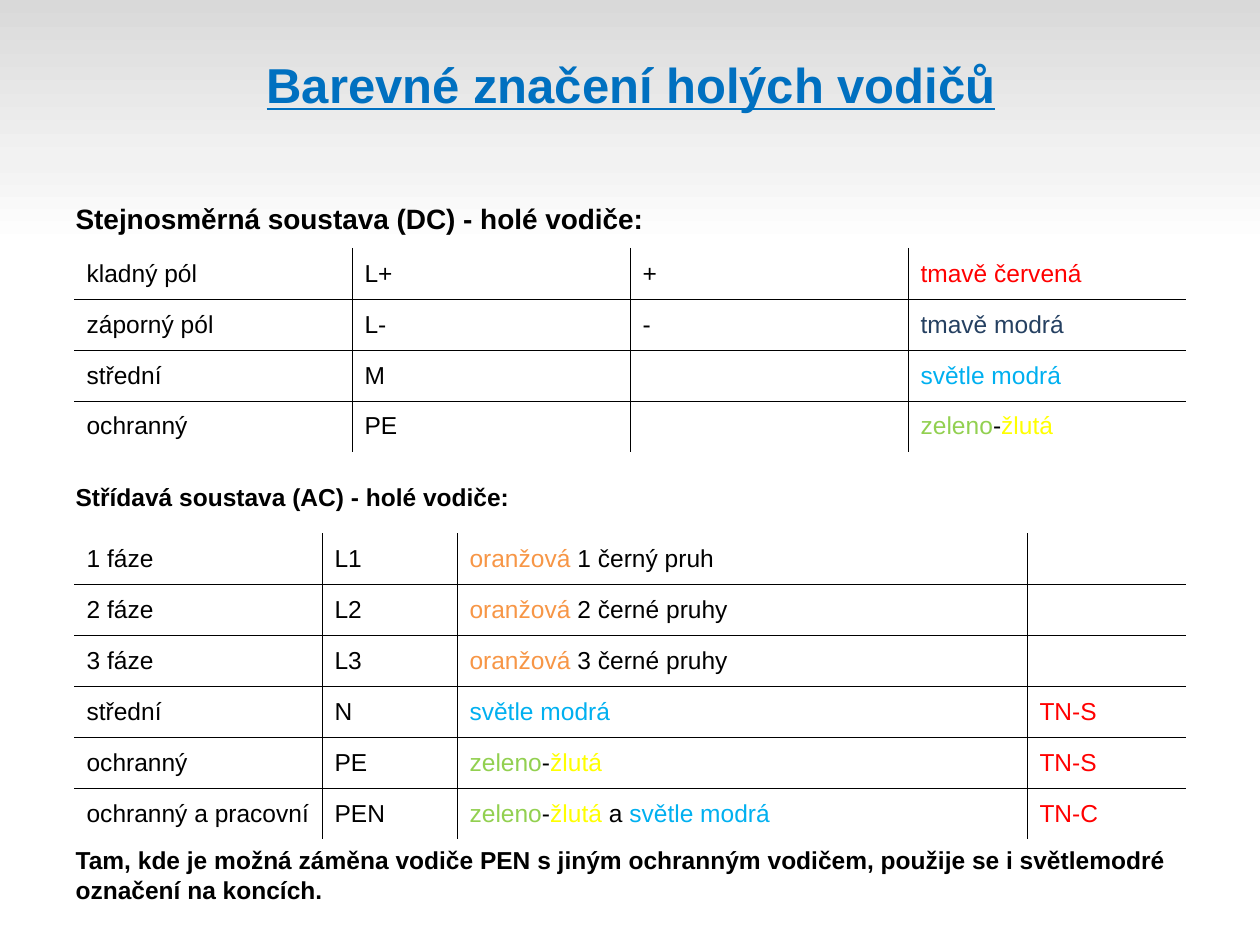
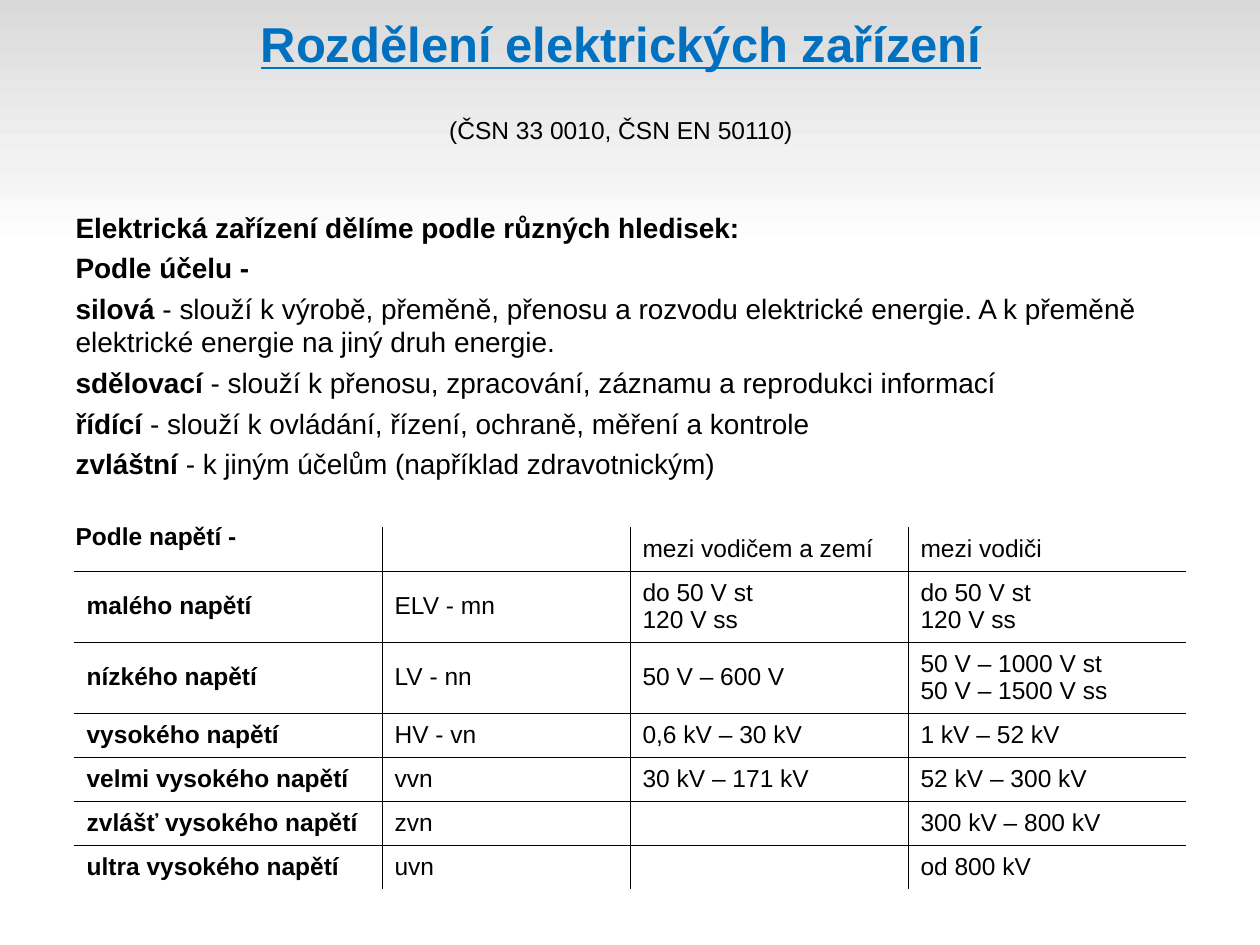
from lxml.etree import SubElement
from pptx import Presentation
from pptx.dml.color import RGBColor
from pptx.enum.text import MSO_ANCHOR, MSO_AUTO_SIZE, PP_ALIGN
from pptx.oxml import parse_xml
from pptx.oxml.ns import nsdecls, qn
from pptx.util import Emu, Pt

# Shared look
PIXEL = 914400 / 126
FONT = "Arial"
BLACK = RGBColor(0x00, 0x00, 0x00)
TITLE_BLUE = RGBColor(0x00, 0x70, 0xC0)
RED = RGBColor(0xFF, 0x00, 0x00)
DARK_BLUE = RGBColor(0x25, 0x40, 0x61)
LIGHT_BLUE = RGBColor(0x00, 0xB0, 0xF0)
GREEN = RGBColor(0x92, 0xD0, 0x50)
YELLOW = RGBColor(0xFF, 0xFF, 0x00)
ORANGE = RGBColor(0xF7, 0x96, 0x46)
BACKGROUND_STOPS = [
    (0, RGBColor(0xFF, 0xFF, 0xFF)),
    (74, RGBColor(0xFF, 0xFF, 0xFF)),
    (83, RGBColor(0xF2, 0xF2, 0xF2)),
    (100, RGBColor(0xD9, 0xD9, 0xD9)),
]
PLAIN_TABLE_STYLE = "{2D5ABB26-0587-4C30-8999-92F81FD0307C}"
TABLE_LEFT = 74
TABLE_SIZE = 14
BORDER_WIDTH = Pt(0.25)

# Content: a text is a string or a list of (text, colour) runs
GREEN_YELLOW = [("zeleno", GREEN), ("-", BLACK), ("žlutá", YELLOW)]
PALE_BLUE = [("světle modrá", LIGHT_BLUE)]


def orange_with(stripes):
    return [("oranžová ", ORANGE), (stripes, BLACK)]


DC_ROWS = [
    ["kladný pól", "L+", "+", [("tmavě červená", RED)]],
    ["záporný pól", "L-", "-", [("tmavě modrá", DARK_BLUE)]],
    ["střední", "M", "", PALE_BLUE],
    ["ochranný", "PE", "", GREEN_YELLOW],
]
AC_ROWS = [
    ["1 fáze", "L1", orange_with("1 černý pruh"), ""],
    ["2 fáze", "L2", orange_with("2 černé pruhy"), ""],
    ["3 fáze", "L3", orange_with("3 černé pruhy"), ""],
    ["střední", "N", PALE_BLUE, [("TN-S", RED)]],
    ["ochranný", "PE", GREEN_YELLOW, [("TN-S", RED)]],
    ["ochranný a pracovní", "PEN",
     GREEN_YELLOW[:2] + [("žlutá ", YELLOW), ("a ", BLACK)] + PALE_BLUE,
     [("TN-C", RED)]],
]
VOLTAGE_ROWS = [
    ["", "", "mezi vodičem a zemí", "mezi vodiči"],
    ["malého napětí", "ELV - mn", "do 50 V st\n120 V ss", "do 50 V st\n120 V ss"],
    ["nízkého napětí", "LV - nn", "50 V – 600 V", "50 V – 1000 V st\n50 V – 1500 V ss"],
    ["vysokého napětí", "HV - vn", "0,6 kV – 30 kV", "1 kV – 52 kV"],
    ["velmi vysokého napětí", "vvn", "30 kV – 171 kV", "52 kV – 300 kV"],
    ["zvlášť vysokého napětí", "zvn", "", "300 kV – 800 kV"],
    ["ultra vysokého napětí", "uvn", "", "od 800 kV"],
]

# Body paragraphs: bold part, regular part, size and space before in points
SLIDES = [
    {
        "title": "Barevné značení holých vodičů",
        "title_box": (64, 5, 1134, 158),
        "body_box": (63, 195, 1134, 745),
        "body": [
            ("Stejnosměrná soustava (DC) - holé vodiče:", "", 16, 0),
            ("Střídavá soustava (AC) - holé vodiče:", "", 14, 141),
            ("Tam, kde je možná záměna vodiče PEN s jiným ochranným vodičem, "
             "použije se i světlemodré označení na koncích.", "", 14, 191),
        ],
        "tables": [
            {"rows": DC_ROWS, "top": 248, "widths": [278] * 4, "heights": [51] * 4},
            {"rows": AC_ROWS, "top": 533, "widths": [248, 135, 570, 159],
             "heights": [51] * 6},
        ],
    },
    {
        "title": "Rozdělení elektrických zařízení",
        "subtitle": "(ČSN 33 0010, ČSN EN 50110)",
        "title_box": (54, 0, 1134, 158),
        "body_box": (63, 204, 1134, 624),
        "body": [
            ("Elektrická zařízení dělíme podle různých hledisek:", "", 16, 0),
            ("Podle účelu -", "", 16, 4),
            ("silová", " - slouží k výrobě, přeměně, přenosu a rozvodu elektrické energie. "
             "A k přeměně elektrické energie na jiný druh energie.", 16, 4),
            ("sdělovací", " - slouží k přenosu, zpracování, záznamu a reprodukci informací",
             16, 4),
            ("řídící", " - slouží k ovládání, řízení, ochraně, měření a kontrole", 16, 4),
            ("zvláštní", " - k jiným účelům (například zdravotnickým)", 16, 4),
            ("Podle napětí -", "", 14, 23),
        ],
        "tables": [
            {"rows": VOLTAGE_ROWS, "top": 527, "widths": [308, 248, 278, 278],
             "heights": [44, 71, 71, 44, 44, 44, 44], "bold_first": True},
        ],
    },
]


def px(length):
    return Emu(round(length * PIXEL))


def place(shape, box):
    shape.left, shape.top, shape.width, shape.height = map(px, box)


def format_run(run, size, colour=BLACK, bold=False, underline=False):
    font = run.font
    font.name, font.size, font.bold, font.underline = FONT, Pt(size), bold, underline
    font.color.rgb = colour


def set_background(master):
    fill = master.background.fill
    fill.gradient()
    fill.gradient_angle = 90
    stop_list = master.element.find(".//" + qn("p:bgPr")).find(".//" + qn("a:gsLst"))
    for stop in list(stop_list):
        stop_list.remove(stop)
    for percent, colour in BACKGROUND_STOPS:
        stop = SubElement(stop_list, qn("a:gs"), pos=str(percent * 1000))
        SubElement(stop, qn("a:srgbClr"), val=str(colour))


def fill_title(shape, content):
    place(shape, content["title_box"])
    frame = shape.text_frame
    frame.text = content["title"]
    frame.auto_size = MSO_AUTO_SIZE.NONE
    frame.vertical_anchor = MSO_ANCHOR.MIDDLE
    heading = frame.paragraphs[0]
    heading.alignment = PP_ALIGN.CENTER
    format_run(heading.runs[0], 28, TITLE_BLUE, bold=True, underline=True)
    if "subtitle" in content:
        subtitle = frame.add_paragraph()
        subtitle.text = content["subtitle"]
        subtitle.alignment = PP_ALIGN.CENTER
        subtitle.space_before = Pt(24)
        format_run(subtitle.runs[0], 14)


def fill_body(shape, content):
    place(shape, content["body_box"])
    frame = shape.text_frame
    frame.auto_size = MSO_AUTO_SIZE.NONE
    for index, (strong, regular, size, space) in enumerate(content["body"]):
        paragraph = frame.add_paragraph() if index else frame.paragraphs[0]
        paragraph.text = strong
        paragraph.space_before = Pt(space)
        properties = paragraph._p.get_or_add_pPr()
        properties.set("marL", "0")
        properties.set("indent", "0")
        SubElement(properties, qn("a:buNone"))
        format_run(paragraph.runs[0], size, bold=True)
        if regular:
            run = paragraph.add_run()
            run.text = regular
            format_run(run, size)


def set_borders(cell, inner_sides):
    """Draw a thin line on each side that faces another cell."""
    properties = cell._tc.get_or_add_tcPr()
    for index, (side, is_inner) in enumerate(inner_sides.items()):
        paint = f'<a:solidFill><a:srgbClr val="{BLACK}"/></a:solidFill>'
        line = parse_xml(f'<a:{side} {nsdecls("a")} w="{BORDER_WIDTH}">'
                         f'{paint if is_inner else "<a:noFill/>"}</a:{side}>')
        properties.insert(index, line)


def fill_cell(cell, content, bold):
    cell.vertical_anchor = MSO_ANCHOR.MIDDLE
    cell.fill.background()
    frame = cell.text_frame
    if isinstance(content, str):
        frame.text = content
    else:
        for text, colour in content:
            frame.paragraphs[0].add_run().text = text
    colours = [BLACK] if isinstance(content, str) else [colour for _, colour in content]
    for paragraph in frame.paragraphs:
        for run, colour in zip(paragraph.runs, colours):
            format_run(run, TABLE_SIZE, colour, bold)
        if not paragraph.runs:
            SubElement(paragraph._p, qn("a:endParaRPr"), sz=str(TABLE_SIZE * 100))


def add_grid(slide, rows, top, widths, heights, bold_first=False):
    frame = slide.shapes.add_table(len(rows), len(widths), px(TABLE_LEFT), px(top),
                                   px(sum(widths)), px(sum(heights)))
    table = frame.table
    table.first_row = table.horz_banding = False
    table._tbl.tblPr.find(qn("a:tableStyleId")).text = PLAIN_TABLE_STYLE
    for column, width in zip(table.columns, widths):
        column.width = px(width)
    for row, height in zip(table.rows, heights):
        row.height = px(height)
    for row_index, row in enumerate(rows):
        for column_index, content in enumerate(row):
            cell = table.cell(row_index, column_index)
            fill_cell(cell, content, bold_first and column_index == 0)
            set_borders(cell, {
                "lnL": column_index > 0,
                "lnR": column_index < len(widths) - 1,
                "lnT": row_index > 0,
                "lnB": row_index < len(rows) - 1,
            })


def main():
    presentation = Presentation()
    presentation.slide_width, presentation.slide_height = px(1260), px(945)
    set_background(presentation.slide_master)
    for content in SLIDES:
        slide = presentation.slides.add_slide(presentation.slide_layouts[1])
        fill_title(slide.shapes.title, content)
        fill_body(slide.placeholders[1], content)
        for grid in content["tables"]:
            add_grid(slide, **grid)
    presentation.save("out.pptx")


if __name__ == "__main__":
    main()
